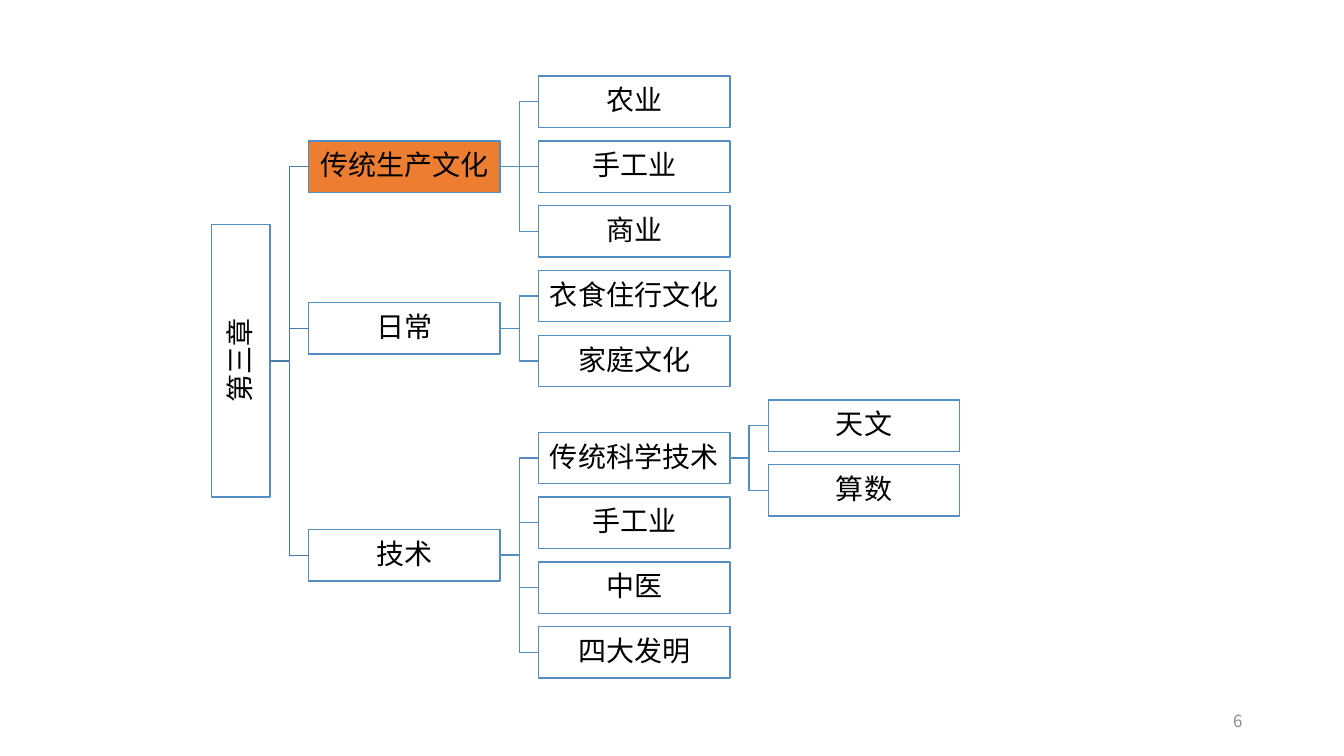
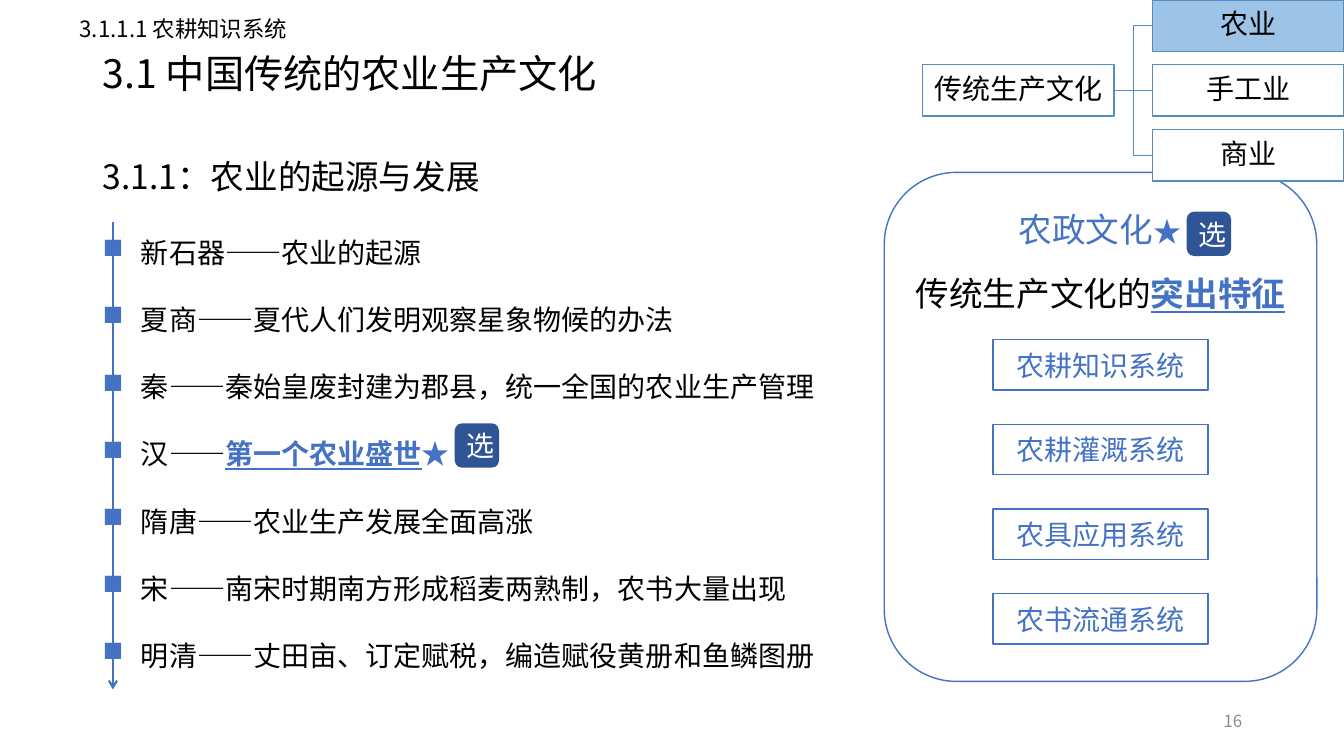
from collections import defaultdict
from dataclasses import dataclass

from lxml import etree
from pptx import Presentation
from pptx.dml.color import RGBColor
from pptx.enum.shapes import MSO_CONNECTOR, MSO_SHAPE
from pptx.enum.text import MSO_ANCHOR, PP_ALIGN
from pptx.oxml.ns import qn
from pptx.util import Inches, Pt

RECT, ROUND = MSO_SHAPE.RECTANGLE, MSO_SHAPE.ROUNDED_RECTANGLE
ELBOW, STRAIGHT = MSO_CONNECTOR.ELBOW, MSO_CONNECTOR.STRAIGHT
LEFT, CENTER, RIGHT = PP_ALIGN.LEFT, PP_ALIGN.CENTER, PP_ALIGN.RIGHT
TOP, MIDDLE = MSO_ANCHOR.TOP, MSO_ANCHOR.MIDDLE


@dataclass(frozen=True)
class Theme:
    font: str = "Noto Sans CJK SC"
    ink: str = "000000"
    paper: str = "FFFFFF"
    gray: str = "8C8C8C"
    blue: str = "4472C4"
    navy: str = "2F5597"
    sky: str = "9DC3E6"
    orange: str = "ED7D31"
    edge: str = "538DC1"
    trunk: str = "497CAB"
    title: int = 28
    head: int = 24
    body: int = 20
    label: int = 16
    small: int = 12


T = Theme()

# Tree grid, in inches
NODE_W, NODE_H, GAP = 1.9, 0.51, 0.38
PITCH = 1.26 * NODE_H
SPINE_W, SPINE_H = 0.58, 2.7


def sub(parent, tag, **attrs):
    return etree.SubElement(parent, qn(tag), attrs)


class Deck:
    def __init__(self):
        self.prs = Presentation()
        self.prs.slide_width = Inches(13.33)
        self.prs.slide_height = Inches(7.5)

    def new(self, number, title=None):
        """Start a slide with its page number and optional title."""
        layout = self.prs.slide_layouts[5 if title else 6]
        self.slide = self.prs.slides.add_slide(layout)
        self.shapes = self.slide.shapes
        if title:
            holder = self.shapes.title
            holder.left, holder.top = Inches(0.92), Inches(0.4)
            holder.width, holder.height = Inches(11.5), Inches(0.71)
            self.put(holder, [title], T.title, anchor=MIDDLE, space=0.9)
        self.text(9.42, 6.95, 3, 0.4, [number], T.small, color=T.gray,
                  align=RIGHT, anchor=MIDDLE)

    def put(self, shape, paras, size, color=T.ink, align=LEFT,
            anchor=TOP, space=None):
        """Each paragraph is a string or a list of (text, font changes)."""
        frame = shape.text_frame
        frame.vertical_anchor = anchor
        for i, parts in enumerate(paras):
            para = frame.add_paragraph() if i else frame.paragraphs[0]
            para.alignment = align
            if space:
                para.line_spacing = space
            if isinstance(parts, str):
                parts = [(parts, {})]
            for words, look in parts:
                run = para.add_run()
                run.text = words
                self.style(run, **{"size": size, "color": color, **look})

    def style(self, run, size, color, strong=False):
        font = run.font
        font.size = Pt(size)
        font.bold = font.underline = strong
        font.color.rgb = RGBColor.from_string(color)
        font.name = T.font
        sub(run._r.get_or_add_rPr(), "a:ea", typeface=T.font)

    def text(self, x, y, w, h, paras, size, wrap=True, **look):
        box = self.shapes.add_textbox(Inches(x), Inches(y), Inches(w), Inches(h))
        box.text_frame.word_wrap = wrap
        self.put(box, paras, size, **look)
        return box

    def bullets(self, x, y, w, h, paras):
        box = self.text(x, y, w, h, paras, T.body, space=2.0)
        for para in box.text_frame.paragraphs:
            props = para._p.get_or_add_pPr()
            props.set("marL", str(Inches(0.38)))
            props.set("indent", str(-Inches(0.38)))
            sub(sub(props, "a:buClr"), "a:srgbClr", val=T.blue)
            sub(props, "a:buFont", typeface="Wingdings", charset="2")
            sub(props, "a:buChar", char="n")

    def shape(self, kind, x, y, w, h, fill=None, line=None):
        item = self.shapes.add_shape(kind, Inches(x), Inches(y), Inches(w), Inches(h))
        item.shadow.inherit = False
        if fill:
            item.fill.solid()
            item.fill.fore_color.rgb = RGBColor.from_string(fill)
        else:
            item.fill.background()
        if line:
            item.line.color.rgb = RGBColor.from_string(line)
            item.line.width = Pt(1)
        else:
            item.line.fill.background()
        return item

    def wire(self, kind, color, width, x1=0, y1=0, x2=0, y2=0):
        wire = self.shapes.add_connector(
            kind, Inches(x1), Inches(y1), Inches(x2), Inches(y2))
        wire.line.color.rgb = RGBColor.from_string(color)
        wire.line.width = Pt(width)
        sub(wire._element.spPr, "a:effectLst")
        return wire

    def arrow(self, x1, y1, x2, y2):
        wire = self.wire(STRAIGHT, T.blue, 1.5, x1, y1, x2, y2)
        sub(wire._element.spPr.find(qn("a:ln")), "a:tailEnd", type="arrow")

    def badge(self, x, y):
        item = self.shape(ROUND, x, y, 0.44, 0.44, fill=T.navy)
        self.put(item, ["选"], T.body, T.paper, CENTER, MIDDLE)

    def node(self, name, x, mid, fill, spine=False):
        w, h = (SPINE_W, SPINE_H) if spine else (NODE_W, NODE_H)
        box = self.shape(RECT, x, mid - h / 2, w, h, fill, T.edge)
        frame = box.text_frame
        frame.margin_left = frame.margin_right = Inches(0.01)
        frame.margin_top = frame.margin_bottom = Inches(0.01)
        if spine:
            frame._txBody.bodyPr.set("vert", "vert270")
        self.put(box, [name], T.body, T.ink, CENTER, MIDDLE, 0.9)
        return box

    def tree(self, root, x, y, fills, spine=False):
        """Draw a tree; y is the middle of the first row."""
        free = defaultdict(int)

        def grow(branch, left, depth):
            name, kids = branch
            tall = spine and depth == 0
            step = (SPINE_W if tall else NODE_W) + GAP
            grown = [grow(kid, left + step, depth + 1) for kid in kids]
            if grown:
                row = (grown[0][1] + grown[-1][1]) / 2
            else:
                row = max(free[depth - 1], free[depth])
            free[depth] = row + 1
            box = self.node(name, left, y + row * PITCH,
                            fills.get(name, T.paper), tall)
            for kid, _ in grown:
                wire = self.wire(ELBOW, T.trunk if tall else T.edge, 1)
                wire.begin_connect(box, 3)
                wire.end_connect(kid, 1)
            return box, row

        grow(root, x, 0)


def leaves(*names):
    return [(name, []) for name in names]


CRAFT = ("传统生产文化", leaves("农业", "手工业", "商业"))
DAILY = ("日常", leaves("衣食住行文化", "家庭文化"))
SKILL = ("技术", [("传统科学技术", leaves("天文", "算数")),
                *leaves("手工业", "中医", "四大发明")])
KEY = {"color": T.blue, "strong": True}
STAR = ("★", {"color": T.blue, "size": T.body})


def outline(deck):
    deck.new("6")
    deck.tree(("第三章", [CRAFT, DAILY, SKILL]), 2.1, 1.01,
              {"传统生产文化": T.orange}, spine=True)


def farming(deck):
    deck.new("16", "3.1 中国传统的农业生产文化")
    deck.text(0.69, 0.1, 2.33, 0.37, ["3.1.1.1 农耕知识系统"], T.label, wrap=False)
    deck.text(0.92, 1.3, 11.5, 0.82, ["3.1.1：农业的起源与发展"], T.head, space=1.5)

    # Timeline
    deck.bullets(0.92, 1.95, 8.05, 4.95, [
        "新石器——农业的起源",
        "夏商——夏代人们发明观察星象物候的办法",
        "秦——秦始皇废封建为郡县，统一全国的农业生产管理",
        [("汉——", {}), ("第一个农业盛世", KEY), STAR],
        "隋唐——农业生产发展全面高涨",
        "宋——南宋时期南方形成稻麦两熟制，农书大量出现",
        "明清——丈田亩、订定赋税，编造赋役黄册和鱼鳞图册",
    ])
    deck.arrow(1.12, 2.2, 1.12, 6.84)
    deck.badge(4.51, 4.2)

    # Panel of systems
    deck.shape(ROUND, 8.77, 1.71, 4.29, 5.05, line=T.blue)
    deck.text(9.97, 2.02, 1.88, 0.5, [[("农政文化", {"color": T.blue}), STAR]],
              T.head, wrap=False, align=CENTER)
    deck.badge(11.77, 2.1)
    deck.text(8.77, 2.46, 4.29, 0.66,
              [[("传统生产文化的", {}), ("突出特征", KEY)]],
              T.head, align=CENTER, space=1.5)
    names = ["农耕知识系统", "农耕灌溉系统", "农具应用系统", "农书流通系统"]
    for i, name in enumerate(names):
        box = deck.shape(RECT, 9.85, 3.37 + 0.84 * i, 2.13, 0.5, line=T.blue)
        deck.put(box, [name], T.body, T.blue, CENTER, MIDDLE)

    # Place in the chapter
    deck.tree(CRAFT, 9.15, NODE_H / 2, {"农业": T.sky})


def main():
    deck = Deck()
    outline(deck)
    farming(deck)
    deck.prs.save("out.pptx")


if __name__ == "__main__":
    main()
